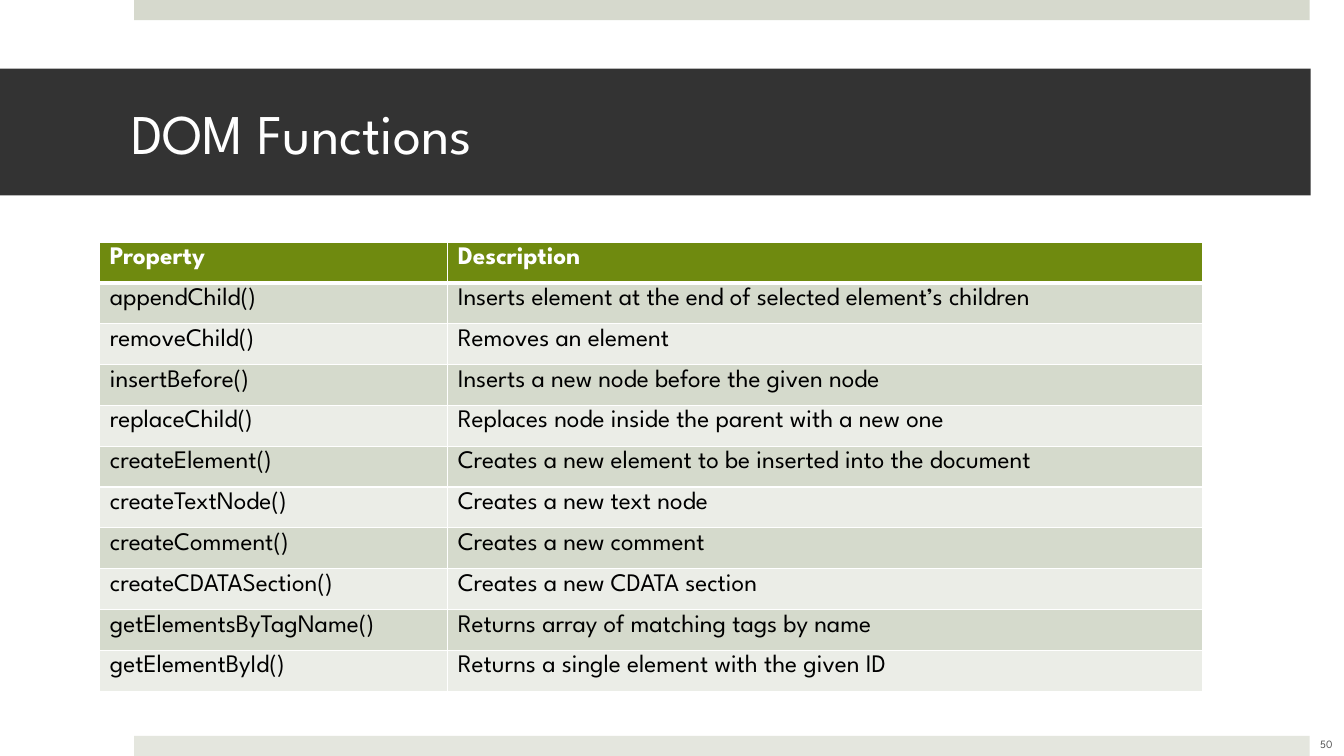
from lxml import etree
from pptx import Presentation
from pptx import util as u
from pptx.dml.color import RGBColor
from pptx.enum import shapes, text
from pptx.oxml.ns import qn

FONT = "League Spartan"
HUES = {
    "top": "D6D9CD", "foot": "E4E6DE", "band": "333333", "head": "6F8A0F",
    "odd": "D5DACC", "even": "EBEDE7", "white": "FFFFFF", "ink": "000000",
    "gray": "595959",
}
ROWS = [
    ("Property", "Description"),
    ("appendChild()", "Inserts element at the end of selected element’s children"),
    ("removeChild()", "Removes an element"),
    ("insertBefore()", "Inserts a new node before the given node"),
    ("replaceChild()", "Replaces node inside the parent with a new one"),
    ("createElement()", "Creates a new element to be inserted into the document"),
    ("createTextNode()", "Creates a new text node"),
    ("createComment()", "Creates a new comment"),
    ("createCDATASection()", "Creates a new CDATA section"),
    ("getElementsByTagName()", "Returns array of matching tags by name"),
    ("getElementById()", "Returns a single element with the given ID"),
]


def inch(box):
    return [u.Inches(n) for n in box]


def paint(fill, hue):
    fill.solid()
    fill.fore_color.rgb = RGBColor.from_string(HUES[hue])


def write(frame, words, size, hue, align=text.PP_ALIGN.LEFT, bold=False):
    para = frame.paragraphs[0]
    para.alignment = align
    run = para.add_run()
    run.text = words
    font = run.font
    font.name, font.size, font.bold = FONT, u.Pt(size), bold
    font.color.rgb = RGBColor.from_string(HUES[hue])


def add_bar(slide, box, hue):
    bar = slide.shapes.add_shape(shapes.MSO_SHAPE.RECTANGLE, *inch(box))
    bar.shadow.inherit = False
    paint(bar.fill, hue)
    bar.line.fill.background()


def add_title(slide, box, words):
    title = slide.shapes.title
    title.left, title.top, title.width, title.height = inch(box)
    paint(title.fill, "band")
    frame = title.text_frame
    frame.word_wrap = True
    frame.auto_size = text.MSO_AUTO_SIZE.NONE
    frame.vertical_anchor = text.MSO_ANCHOR.MIDDLE
    frame.margin_left, frame.margin_right = u.Inches(1.3), u.Inches(0.3)
    write(frame, words, 40, "white")


def add_page(slide, box, words):
    frame = slide.shapes.add_textbox(*inch(box)).text_frame
    frame.word_wrap = True
    frame.vertical_anchor = text.MSO_ANCHOR.MIDDLE
    write(frame, words, 8, "gray", text.PP_ALIGN.CENTER)


def edge(cell, side, width):
    """Draw a white border on one side (L, R, T or B) of a cell."""
    props = cell._tc.get_or_add_tcPr()
    line = etree.SubElement(props, qn(f"a:ln{side}"), w=str(u.Pt(width)))
    fill = etree.SubElement(line, qn("a:solidFill"))
    etree.SubElement(fill, qn("a:srgbClr"), val=HUES["white"])


def add_grid(slide, box, split):
    """Place the function table, its first column split inches wide."""
    shape = slide.shapes.add_table(len(ROWS), 2, *inch(box))
    grid = shape.table
    for col, width in zip(grid.columns, (split, box[2] - split)):
        col.width = u.Inches(width)
    for i, row in enumerate(ROWS):
        grid.rows[i].height = u.Inches(box[3] / len(ROWS))
        hue = "head" if i == 0 else "odd" if i % 2 else "even"
        for j, words in enumerate(row):
            cell = grid.cell(i, j)
            for side in "LRTB":
                thick = (i, side) in ((0, "B"), (1, "T"))
                edge(cell, side, 3 if thick else 1)
            paint(cell.fill, hue)
            write(cell.text_frame, words, 18, "ink" if i else "white", bold=i == 0)


def main():
    deck = Presentation()
    deck.slide_width, deck.slide_height = inch((13.33, 7.5))
    slide = deck.slides.add_slide(deck.slide_layouts[5])
    for top, hue in ((0, "top"), (7.3, "foot")):
        add_bar(slide, (1.33, top, 11.66, 0.2), hue)
    add_title(slide, (0, 0.68, 13, 1.26), "DOM Functions")
    add_page(slide, (12.82, 7.18, 0.67, 0.4), "50")
    add_grid(slide, (0.99, 2.4, 10.94, 4.46), 3.45)
    deck.save("out.pptx")


if __name__ == "__main__":
    main()
